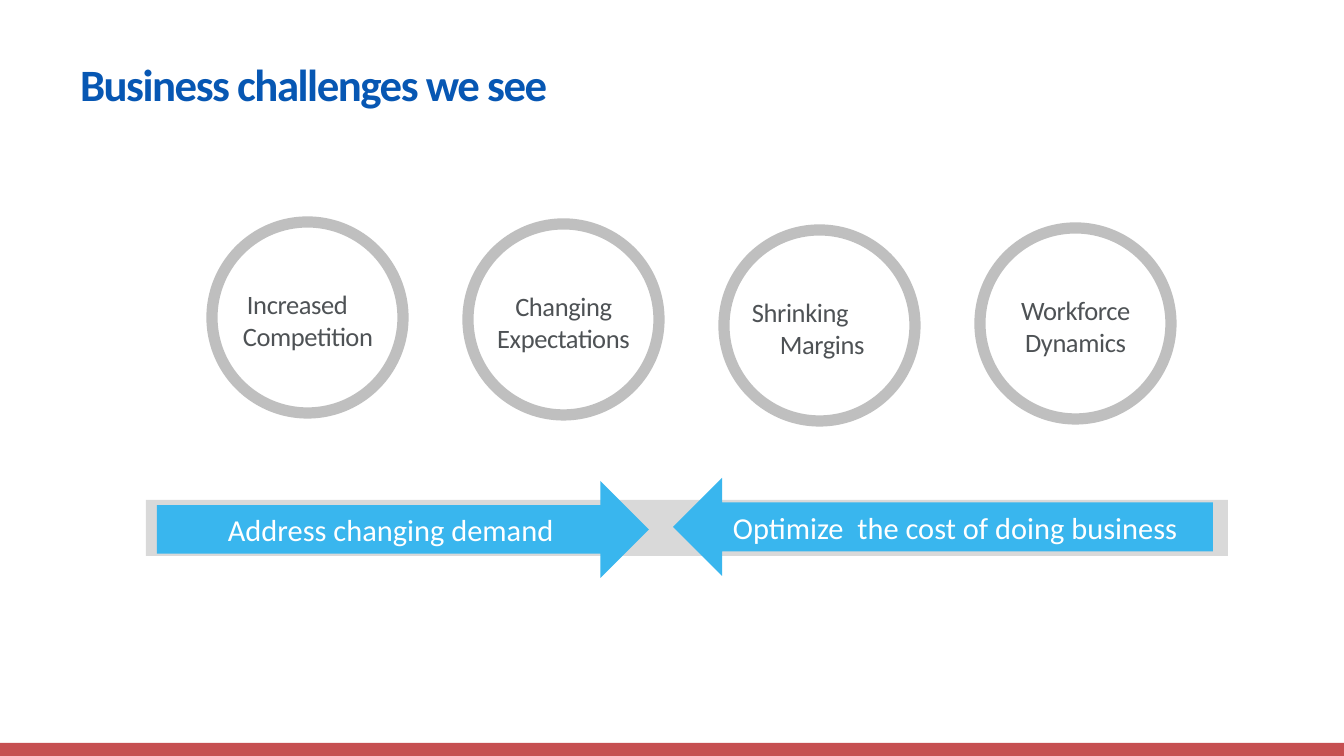
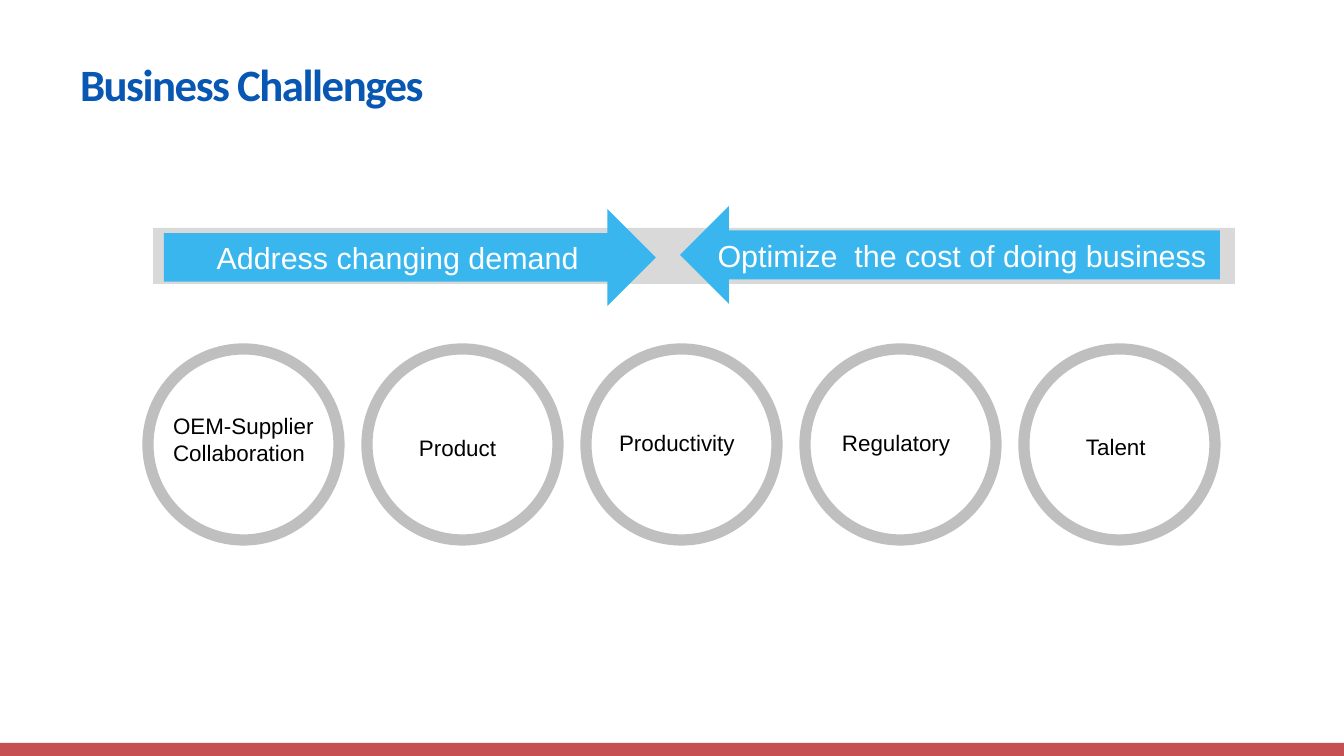
from pptx import Presentation
from pptx.dml.color import RGBColor
from pptx.enum.shapes import MSO_SHAPE as SHAPE
from pptx.enum.text import MSO_ANCHOR as ANCHOR, MSO_AUTO_SIZE as AUTO, PP_ALIGN as ALIGN
from pptx.util import Emu, Pt

SCALE = 914400 / 134.4
WIDTH, HEIGHT = 1344, 756
BLUE, SKY, RED = "0757B3", "39B6EE", "C64F51"
BAND, RING, GREY, BLACK, WHITE = "D9D9D9", "BFBFBF", "4E5255", "000000", "FFFFFF"
RING_SIZE = 191


def px(n):
    return Emu(round(n * SCALE))


def box(x, y, w, h):
    return px(x), px(y), px(w), px(h)


def rgb(color):
    return RGBColor.from_string(color)


def write(tf, text, size, color, font="Calibri", bold=False, align=ALIGN.LEFT,
          anchor=ANCHOR.TOP, spacing=0, insets=(13, 7), hang=None):
    tf.word_wrap = True
    tf.auto_size = AUTO.NONE
    tf.vertical_anchor = anchor
    tf.margin_left = tf.margin_right = px(insets[0])
    tf.margin_top = tf.margin_bottom = px(insets[1])
    p = tf.paragraphs[0]
    p.alignment = align
    if hang:
        first, rest = hang
        pPr = p._p.get_or_add_pPr()
        pPr.set("marL", str(px(rest)))
        pPr.set("indent", str(px(first - rest)))
    r = p.add_run()
    r.text = text
    r.font.name = font
    r.font.size = Pt(size)
    r.font.bold = bold
    r.font.color.rgb = rgb(color)
    if spacing:
        r._r.get_or_add_rPr().set("spc", str(round(spacing * 100)))


def add_block(shapes, kind, x, y, w, h, fill=None, line=None):
    sp = shapes.add_shape(kind, *box(x, y, w, h))
    sp.shadow.inherit = False
    if fill:
        sp.fill.solid()
        sp.fill.fore_color.rgb = rgb(fill)
    else:
        sp.fill.background()
    if line:
        sp.line.color.rgb = rgb(line)
        sp.line.width = Pt(6)
    else:
        sp.line.fill.background()
    return sp


def add_label(shapes, text, x, y, w, h, **fmt):
    tb = shapes.add_textbox(*box(x, y, w, h))
    write(tb.text_frame, text, **fmt)


def add_ring(shapes, x, y):
    add_block(shapes, SHAPE.OVAL, x, y, RING_SIZE, RING_SIZE, line=RING)


def add_slide(prs, title):
    s = prs.slides.add_slide(prs.slide_layouts[5])
    add_block(s.shapes, SHAPE.RECTANGLE, 0, 743, WIDTH, 13, fill=RED)
    sp = s.shapes.title
    sp.left, sp.top, sp.width, sp.height = box(67, 57, 1176, 53)
    write(sp.text_frame, title, size=24, color=BLUE, bold=True,
          anchor=ANCHOR.MIDDLE, spacing=-0.8)
    return s


def add_opposing_arrows(s, x, y, font):
    add_block(s.shapes, SHAPE.RECTANGLE, x, y, 1082, 56, fill=BAND)
    arrows = [
        (SHAPE.RIGHT_ARROW, 11, -19, 492, 97, "Address changing demand"),
        (SHAPE.LEFT_ARROW, 527, -22, 540, 98, "Optimize  the cost of doing business"),
    ]
    for kind, dx, dy, w, h, text in arrows:
        sp = add_block(s.shapes, kind, x + dx, y + dy, w, h, fill=SKY)
        write(sp.text_frame, text, size=16.3, color=WHITE, font=font,
              align=ALIGN.CENTER, anchor=ANCHOR.MIDDLE, insets=(7, 3))


def add_ringed_label(s, text, x, y, hang):
    shapes = s.shapes.add_group_shape().shapes
    add_label(shapes, text, x + 13, y + 59, 165, 76, size=14.2, color=GREY,
              align=ALIGN.LEFT if hang else ALIGN.CENTER, spacing=-0.2, hang=hang)
    add_ring(shapes, x, y)


def challenges_we_see(prs):
    s = add_slide(prs, "Business challenges we see")
    add_opposing_arrows(s, 146, 500, "Calibri")
    challenges = [
        ("Increased Competition", 222, (9, 5)),
        ("Changing Expectations", 224, None),
        ("Shrinking Margins", 230, (2, 30)),
        ("Workforce Dynamics", 228, None),
    ]
    for i, (text, y, hang) in enumerate(challenges):
        add_ringed_label(s, text, 212 + 256 * i, y, hang)


def business_challenges(prs):
    s = add_slide(prs, "Business Challenges")
    add_opposing_arrows(s, 153, 228, "Arial")
    challenges = [
        ("OEM-Supplier Collaboration", 160, 405, 172, 81),
        ("Product", 406, 427, 113, 34),
        ("Productivity", 606, 422, 148, 44),
        ("Regulatory", 829, 422, 140, 46),
        ("Talent", 1073, 426, 92, 39),
    ]
    for i, (text, *place) in enumerate(challenges):
        add_label(s.shapes, text, *place, size=12, color=BLACK, font="Arial")
        add_ring(s.shapes, 148 + 219 * i, 349)


def main():
    prs = Presentation()
    prs.slide_width, prs.slide_height = px(WIDTH), px(HEIGHT)
    challenges_we_see(prs)
    business_challenges(prs)
    prs.save("out.pptx")


if __name__ == "__main__":
    main()
